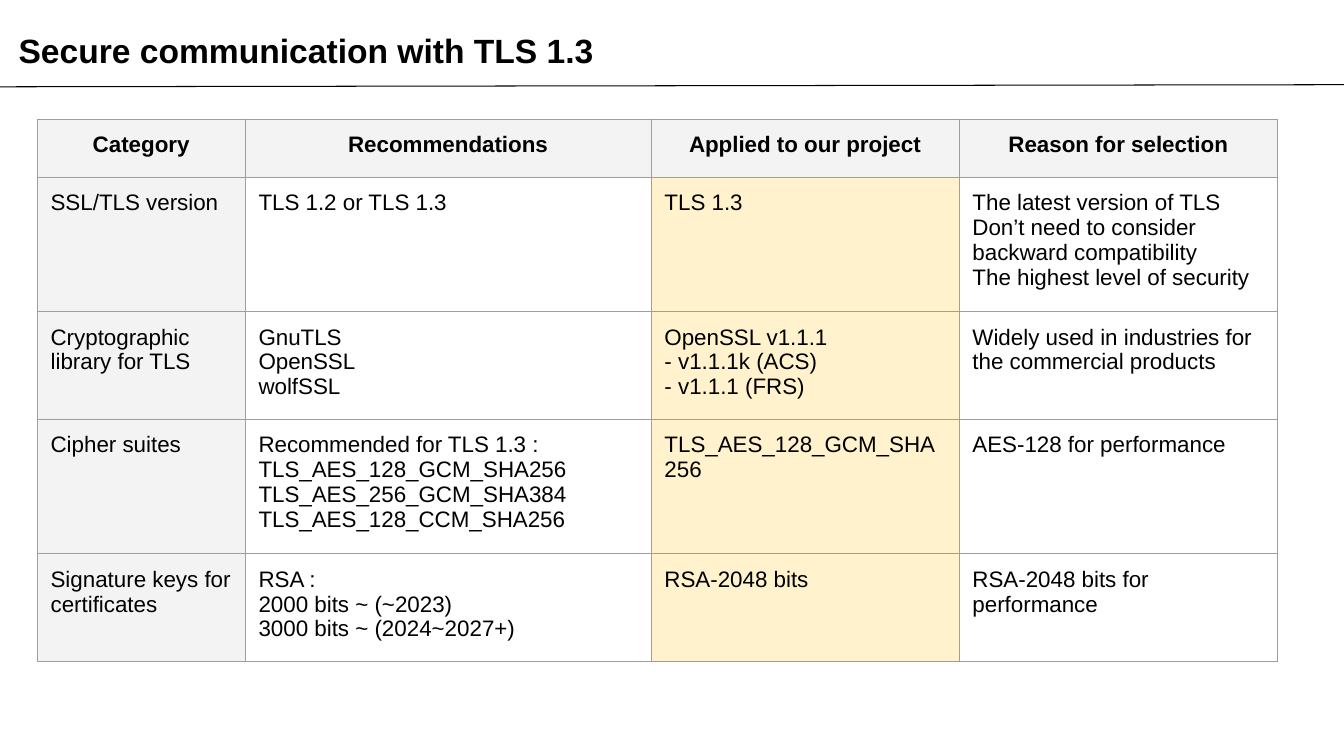
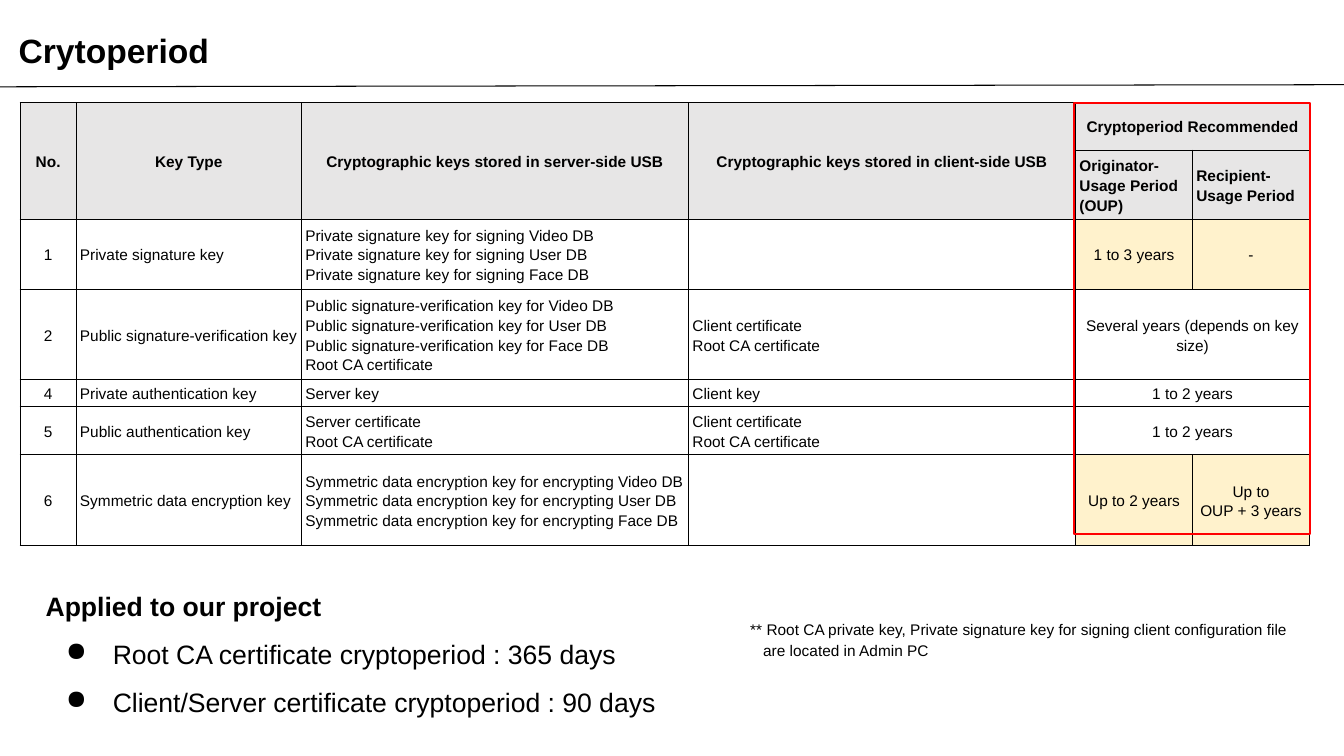
from lxml import etree
from pptx import Presentation
from pptx.dml.color import RGBColor
from pptx.enum.shapes import MSO_CONNECTOR, MSO_SHAPE
from pptx.enum.text import MSO_ANCHOR, MSO_AUTO_SIZE, PP_ALIGN
from pptx.oxml.ns import qn
from pptx.util import Pt

STRAIGHT = MSO_CONNECTOR.STRAIGHT
RECTANGLE = MSO_SHAPE.RECTANGLE
TOP, MIDDLE = MSO_ANCHOR.TOP, MSO_ANCHOR.MIDDLE
LEFT, CENTER = PP_ALIGN.LEFT, PP_ALIGN.CENTER
GROW = MSO_AUTO_SIZE.SHAPE_TO_FIT_TEXT

# Shared look
SLIDE_WIDTH, SLIDE_HEIGHT = 960, 540
FONT = "Arial"
COLORS = {
    "ink": "000000",
    "grid": "9E9E9E",
    "pale_grey": "F3F3F3",
    "grey": "E7E6E6",
    "chosen": "FFF2CC",
    "frame": "FF0000",
}

# Content: a line feed starts a new paragraph
TLS_ROWS = [
    ["Category", "Recommendations", "Applied to our project", "Reason for selection"],
    ["SSL/TLS version", "TLS 1.2 or TLS 1.3", "TLS 1.3",
     "The latest version of TLS\nDon’t need to consider backward compatibility\n"
     "The highest level of security"],
    ["Cryptographic library for TLS", "GnuTLS\nOpenSSL\nwolfSSL",
     "OpenSSL v1.1.1\n- v1.1.1k (ACS)\n- v1.1.1 (FRS)",
     "Widely used in industries for the commercial products"],
    ["Cipher suites",
     "Recommended for TLS 1.3 :\nTLS_AES_128_GCM_SHA256\n"
     "TLS_AES_256_GCM_SHA384\nTLS_AES_128_CCM_SHA256",
     "TLS_AES_128_GCM_SHA256", "AES-128 for performance"],
    ["Signature keys for certificates",
     "RSA :\n2000 bits ~ (~2023)\n3000 bits ~ (2024~2027+)",
     "RSA-2048 bits", "RSA-2048 bits for performance"],
]


def keys_per_database(purpose):
    return "\n".join(f"{purpose} {name} DB" for name in ("Video", "User", "Face"))


CLIENT_CERTIFICATES = "Client certificate\nRoot CA certificate"
PERIOD_ROWS = [
    ["No.", "Key Type", "Cryptographic keys stored in server-side USB",
     "Cryptographic keys stored in client-side USB", "Cryptoperiod Recommended", ""],
    ["", "", "", "", "Originator-Usage Period (OUP)", "Recipient-Usage Period"],
    ["1", "Private signature key", keys_per_database("Private signature key for signing"),
     "", "1 to 3 years", "-"],
    ["2", "Public signature-verification key",
     keys_per_database("Public signature-verification key for") + "\nRoot CA certificate",
     CLIENT_CERTIFICATES, "Several years (depends on key size)", ""],
    ["4", "Private authentication key", "Server key", "Client key", "1 to 2 years", ""],
    ["5", "Public authentication key", "Server certificate\nRoot CA certificate",
     CLIENT_CERTIFICATES, "1 to 2 years", ""],
    ["6", "Symmetric data encryption key",
     keys_per_database("Symmetric data encryption key for encrypting"),
     "", "Up to 2 years", "Up to\nOUP + 3 years"],
]
# First and last cell of each merged block
PERIOD_MERGES = [((0, column), (1, column)) for column in range(4)]
PERIOD_MERGES += [((row, 4), (row, 5)) for row in (0, 3, 4, 5)]


def color(name):
    return RGBColor.from_string(COLORS[name])


def set_values(target, values):
    for name, value in values.items():
        setattr(target, name, value)


def margins(horizontal, vertical):
    return {
        "margin_left": Pt(horizontal), "margin_right": Pt(horizontal),
        "margin_top": Pt(vertical), "margin_bottom": Pt(vertical),
    }


def format_paragraph(paragraph, size, bold=False, spacing=1.0, alignment=LEFT):
    set_values(paragraph, {"line_spacing": spacing, "alignment": alignment})
    for run in paragraph.runs:
        set_values(run.font, {"name": FONT, "size": Pt(size), "bold": bold})
        run.font.color.rgb = color("ink")


def set_indent(paragraph, left, first_line):
    properties = paragraph._p.get_or_add_pPr()
    properties.set("marL", str(Pt(left)))
    properties.set("indent", str(Pt(first_line)))
    return properties


def add_bullet(paragraph):
    properties = set_indent(paragraph, 48, -33.6)
    etree.SubElement(properties, qn("a:buChar"), char="●")


def add_text(slide, box, text, size, inset=(9.6, 9.6), bold=False, spacing=1.0):
    shape = slide.shapes.add_textbox(*map(Pt, box))
    frame = shape.text_frame
    set_values(frame, {"word_wrap": True, "auto_size": GROW, **margins(*inset)})
    frame.text = text
    for paragraph in frame.paragraphs:
        format_paragraph(paragraph, size, bold, spacing)
    return frame.paragraphs


def add_rule(slide, start, end):
    rule = slide.shapes.add_connector(STRAIGHT, *map(Pt, start + end))
    rule.line.color.rgb = color("ink")
    rule.line.width = Pt(0.75)
    etree.SubElement(rule._element.spPr, qn("a:effectLst"))


def add_frame(slide, box):
    frame = slide.shapes.add_shape(RECTANGLE, *map(Pt, box))
    frame.shadow.inherit = False
    frame.fill.background()
    frame.line.color.rgb = color("frame")
    frame.line.width = Pt(1.5)


def add_borders(cell, color_name):
    properties = cell._tc.get_or_add_tcPr()
    for side in ("lnL", "lnR", "lnT", "lnB"):
        border = etree.SubElement(properties, qn(f"a:{side}"), w=str(Pt(0.75)))
        fill = etree.SubElement(border, qn("a:solidFill"))
        etree.SubElement(fill, qn("a:srgbClr"), val=COLORS[color_name])


def add_grid(slide, corner, widths, heights, rows, cell_look, cell_values,
             size, border, spacing=1.0, merges=()):
    """cell_look(row, column) gives fill name or None, bold and alignment."""
    box = (*corner, sum(widths), sum(heights))
    table = slide.shapes.add_table(len(rows), len(widths), *map(Pt, box)).table
    set_values(table, {"first_row": False, "horz_banding": False})
    for column, width in zip(table.columns, widths):
        column.width = Pt(width)
    for table_row, height in zip(table.rows, heights):
        table_row.height = Pt(height)
    for first, last in merges:
        table.cell(*first).merge(table.cell(*last))
    for row, texts in enumerate(rows):
        for column, text in enumerate(texts):
            cell = table.cell(row, column)
            fill, bold, alignment = cell_look(row, column)
            set_values(cell, cell_values)
            add_borders(cell, border)
            if fill:
                cell.fill.solid()
                cell.fill.fore_color.rgb = color(fill)
            else:
                cell.fill.background()
            if text:
                cell.text_frame.text = text
                for paragraph in cell.text_frame.paragraphs:
                    format_paragraph(paragraph, size, bold, spacing, alignment)


def tls_look(row, column):
    if row == 0:
        return "pale_grey", True, CENTER
    return {0: "pale_grey", 2: "chosen"}.get(column), False, LEFT


def period_look(row, column):
    if row < 2:
        return "grey", True, CENTER if row == 0 else LEFT
    fill = "chosen" if row in (2, 6) and column >= 4 else None
    return fill, False, LEFT if 1 <= column <= 3 else CENTER


def add_titled_slide(presentation, title):
    slide = presentation.slides.add_slide(presentation.slide_layouts[6])
    add_rule(slide, (0, 62), (SLIDE_WIDTH, 60.5))
    add_text(slide, (6.2, 18, 474, 36), title, 24, inset=(7.2, 3.6), bold=True)
    return slide


def build_tls_slide(presentation):
    slide = add_titled_slide(presentation, "Secure communication with TLS 1.3")
    add_grid(slide, (26.6, 85), (148.5, 290, 220, 227.5), (41.5, 95.5, 77, 95.5, 77),
             TLS_ROWS, tls_look, {"vertical_anchor": TOP, **margins(9.6, 9.6)},
             16, "grid")


def build_period_slide(presentation):
    slide = add_titled_slide(presentation, "Crytoperiod")

    # Applied periods
    heading, *bullets = add_text(
        slide, (23, 400.3, 620, 111.6),
        "Applied to our project\nRoot CA certificate cryptoperiod : 365 days\n"
        "Client/Server certificate cryptoperiod : 90 days", 19, spacing=1.5)
    format_paragraph(heading, 19, bold=True, spacing=1.5)
    for paragraph in bullets:
        add_bullet(paragraph)

    # Key table with the framed recommendation columns
    add_grid(slide, (14.4, 73.2), (40, 161, 276.5, 276.5, 83.5, 83.5),
             (34, 49, 50, 64, 19, 34, 65), PERIOD_ROWS, period_look,
             {"vertical_anchor": MIDDLE, **margins(2.7, 2)},
             11, "ink", 1.15, PERIOD_MERGES)
    add_frame(slide, (767, 73.4, 169, 308))

    # Footnote with a hanging second line
    footnote, = add_text(
        slide, (526.3, 431.3, 413.3, 48.2),
        "** Root CA private key, Private signature key for signing client "
        "configuration file\vare located in Admin PC", 11, spacing=1.15)
    set_indent(footnote, 9.2, -9.2)


def main():
    presentation = Presentation()
    set_values(presentation, {"slide_width": Pt(SLIDE_WIDTH),
                              "slide_height": Pt(SLIDE_HEIGHT)})
    build_tls_slide(presentation)
    build_period_slide(presentation)
    presentation.save("out.pptx")


if __name__ == "__main__":
    main()
